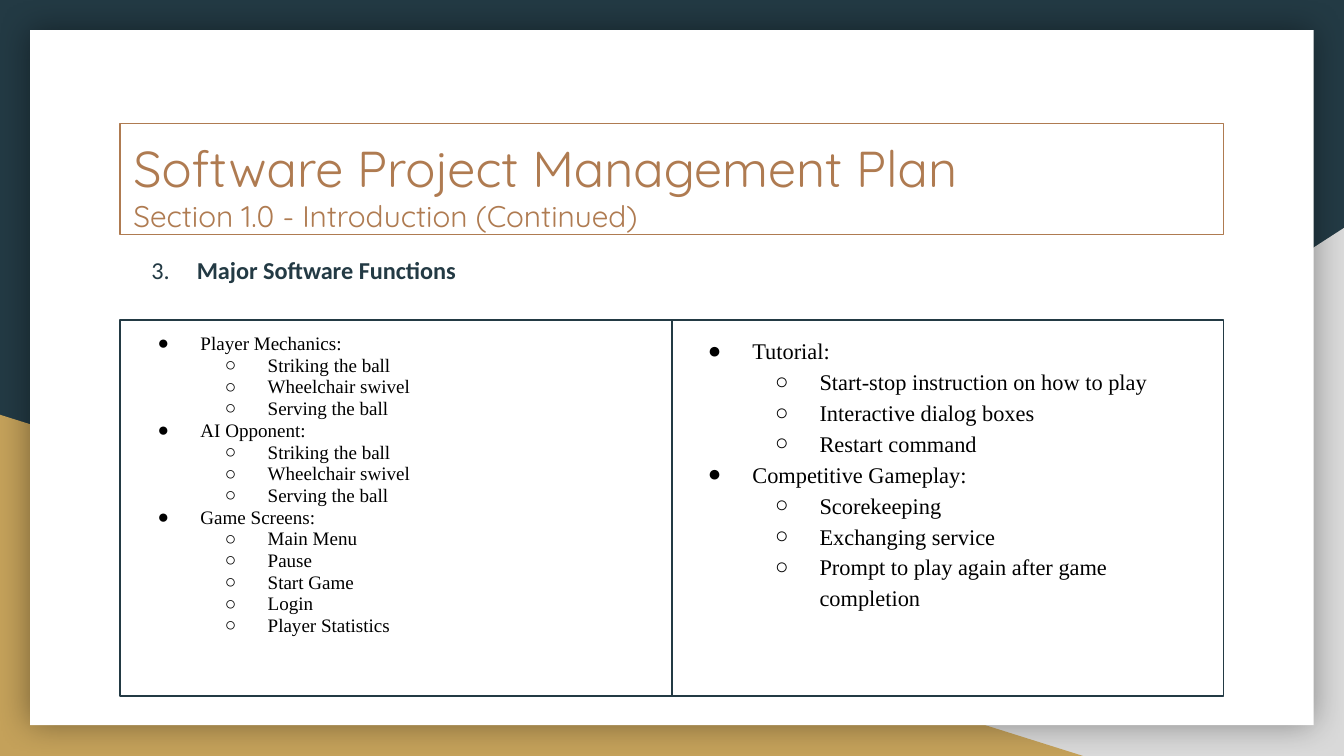
from lxml.etree import SubElement
from pptx import Presentation
from pptx.dml.color import RGBColor
from pptx.enum.shapes import MSO_SHAPE
from pptx.enum.text import MSO_ANCHOR, PP_ALIGN
from pptx.oxml.ns import qn
from pptx.util import Cm, Pt

NAVY = RGBColor(0x23, 0x3A, 0x44)
GREY = RGBColor(0xD9, 0xD9, 0xD9)
GOLD = RGBColor(0xC4, 0xA1, 0x5A)
WHITE = RGBColor(0xFF, 0xFF, 0xFF)
BROWN = RGBColor(0xAF, 0x7B, 0x51)
BLACK = RGBColor(0x00, 0x00, 0x00)

LEFT, COLUMN_WIDTH = 2.27, 10.43
COLUMN_TOP, COLUMN_HEIGHT = 6.05, 7.11
LEVEL_INDENT = 1.27
BULLETS = "●○"

FRAME_FORMAT = {
    "word_wrap": True,
    "vertical_anchor": MSO_ANCHOR.TOP,
    "margin_left": Cm(0.25),
    "margin_right": Cm(0.25),
    "margin_top": Cm(0.25),
    "margin_bottom": Cm(0.25),
}

STRIKES = ["Striking the ball", "Wheelchair swivel", "Serving the ball"]
COLUMNS = [
    {
        "size": 10.2, "spacing": 0.95, "hanging": 0.81,
        "groups": [
            ("Player Mechanics:", STRIKES),
            ("AI Opponent:", STRIKES),
            ("Game Screens:", ["Main Menu", "Pause", "Start Game", "Login",
                               "Player Statistics"]),
        ],
    },
    {
        "size": 12, "spacing": 1.15, "hanging": 0.84,
        "groups": [
            ("Tutorial:", ["Start-stop instruction on how to play",
                           "Interactive dialog boxes", "Restart command"]),
            ("Competitive Gameplay:", ["Scorekeeping", "Exchanging service",
                                       "Prompt to play again after game completion"]),
        ],
    },
]


def apply_format(target, values):
    for name, value in values.items():
        setattr(target, name, value)


def add_panel(page, preset, bounds, fill=None, line=None):
    panel = page.shapes.add_shape(preset, *map(Cm, bounds))
    panel.shadow.inherit = False
    if fill is None:
        panel.fill.background()
    else:
        panel.fill.solid()
        panel.fill.fore_color.rgb = fill
    if line is None:
        panel.line.fill.background()
    else:
        panel.line.color.rgb = line
        panel.line.width = Pt(0.75)
    apply_format(panel.text_frame, FRAME_FORMAT)
    return panel


def add_glow(panel):
    """Give the panel a soft dark shadow on every side."""
    effects = panel._element.spPr.find(qn("a:effectLst"))
    shadow = SubElement(effects, qn("a:outerShdw"), blurRad=str(Pt(18)),
                        dist="0", dir="0", algn="ctr", rotWithShape="0")
    color = SubElement(shadow, qn("a:srgbClr"), val=str(BLACK))
    SubElement(color, qn("a:alpha"), val="40000")


def add_para(frame, first):
    para = frame.paragraphs[0] if first else frame.add_paragraph()
    para.alignment = PP_ALIGN.LEFT
    return para


def add_span(para, text, font, size, color, bold=False):
    span = para.add_run()
    span.text = text
    apply_format(span.font, {"name": font, "size": Pt(size), "bold": bold})
    span.font.color.rgb = color


def set_indent(para, margin, hanging):
    properties = para._p.get_or_add_pPr()
    properties.set("marL", str(Cm(margin)))
    properties.set("indent", str(-Cm(hanging)))
    return properties


def set_bullet(para, level, hanging):
    para.level = level
    properties = set_indent(para, LEVEL_INDENT * (level + 1), hanging)
    color = SubElement(properties, qn("a:buClr"))
    SubElement(color, qn("a:srgbClr"), val=str(BLACK))
    SubElement(properties, qn("a:buFont"), typeface="Times New Roman")
    SubElement(properties, qn("a:buChar"), char=BULLETS[level])


def add_backdrop(page):
    page.background.fill.solid()
    page.background.fill.fore_color.rgb = NAVY
    triangle = add_panel(page, MSO_SHAPE.RIGHT_TRIANGLE, (9.96, 4.31, 15.44, 9.98), GREY)
    triangle._element.spPr.xfrm.set("flipH", "1")
    add_panel(page, MSO_SHAPE.RIGHT_TRIANGLE, (0, 7.84, 20.47, 6.45), GOLD)
    sheet = add_panel(page, MSO_SHAPE.RECTANGLE, (0.57, 0.57, 24.26, 13.14), WHITE)
    add_glow(sheet)


def add_title(page):
    box = add_panel(page, MSO_SHAPE.RECTANGLE,
                    (LEFT, 2.34, 2 * COLUMN_WIDTH, 2.09), line=BROWN)
    lines = [("Software Project Management Plan", 27),
             ("Section 1.0 - Introduction (Continued)", 16)]
    for index, (text, size) in enumerate(lines):
        para = add_para(box.text_frame, index == 0)
        add_span(para, text, "Quicksand", size, BROWN)


def add_heading(page, number, text):
    box = page.shapes.add_textbox(Cm(2.31), Cm(4.57), Cm(2 * COLUMN_WIDTH), Cm(1.02))
    apply_format(box.text_frame, FRAME_FORMAT)
    para = add_para(box.text_frame, True)
    set_indent(para, 1.16, 0.86)
    add_span(para, f"{number}\t", "Calibri", 13, NAVY)
    add_span(para, text, "Calibri", 13, NAVY, bold=True)


def add_column(page, index, column):
    bounds = (LEFT + index * COLUMN_WIDTH, COLUMN_TOP, COLUMN_WIDTH, COLUMN_HEIGHT)
    box = add_panel(page, MSO_SHAPE.RECTANGLE, bounds, line=NAVY)
    entries = [entry for topic, items in column["groups"]
               for entry in [(topic, 0), *((item, 1) for item in items)]]
    for position, (text, level) in enumerate(entries):
        para = add_para(box.text_frame, position == 0)
        para.line_spacing = column["spacing"]
        set_bullet(para, level, column["hanging"])
        add_span(para, text, "Times New Roman", column["size"], BLACK)


def main():
    deck = Presentation()
    apply_format(deck, {"slide_width": Cm(25.4), "slide_height": Cm(14.29)})
    page = deck.slides.add_slide(deck.slide_layouts[6])
    add_backdrop(page)
    add_title(page)
    for index, column in enumerate(COLUMNS):
        add_column(page, index, column)
    add_heading(page, "3.", "Major Software Functions")
    deck.save("out.pptx")


if __name__ == "__main__":
    main()
